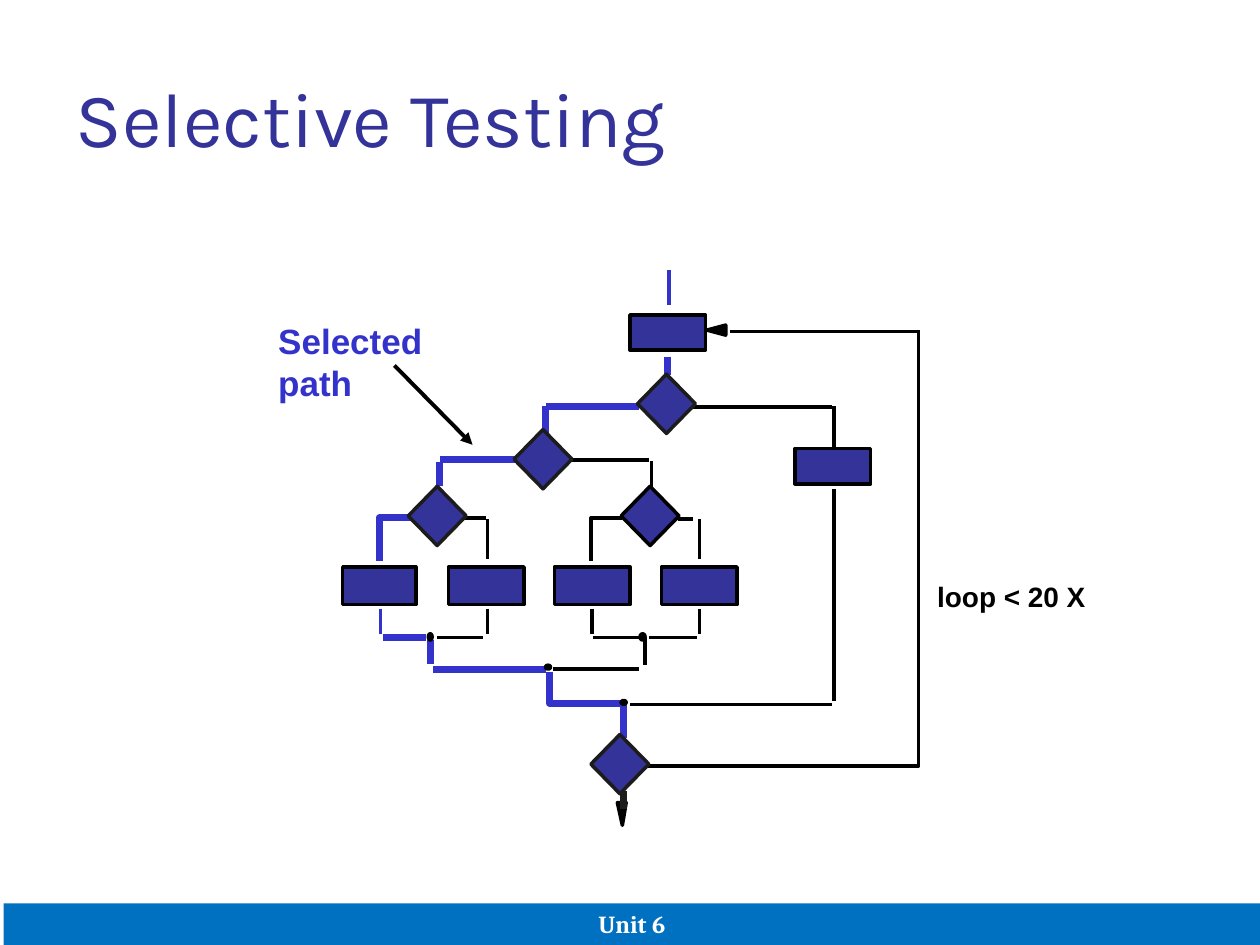
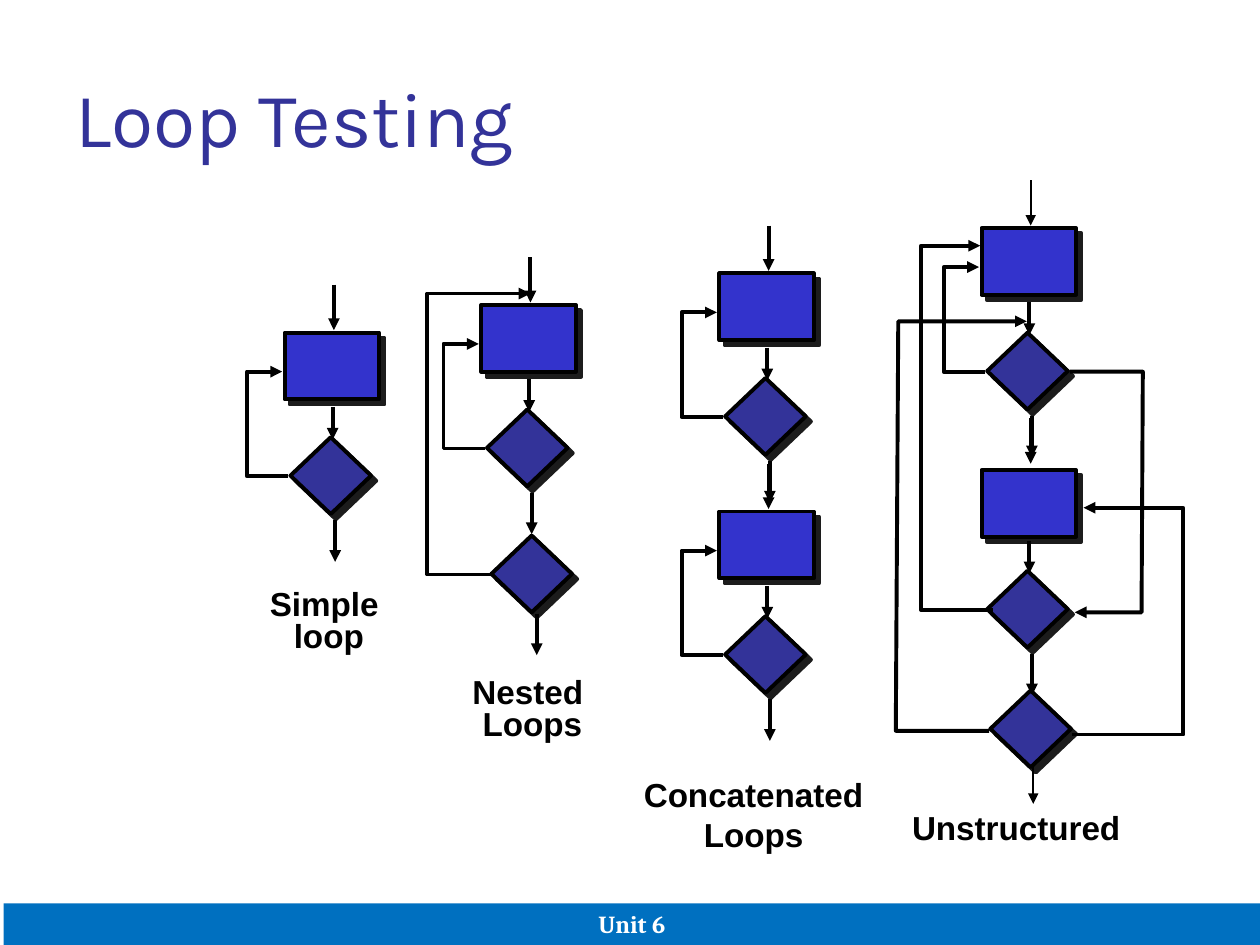
from lxml.etree import SubElement
from pptx import Presentation
from pptx.dml.color import RGBColor
from pptx.enum.shapes import MSO_CONNECTOR, MSO_SHAPE
from pptx.enum.text import MSO_ANCHOR, PP_ALIGN
from pptx.oxml.ns import qn
from pptx.util import Inches, Pt

# Colours, and a grid of 100 columns by 75 rows
INDIGO, BLUE, BLACK, CHARCOAL = "333399", "3333CC", "000000", "1C1C1C"
BAND, WHITE = "0070C0", "FFFFFF"
COLS, ROWS = 100, 75
THIN, MEDIUM, HEAVY = 2, 2.25, 4


def rgb(value):
    return RGBColor.from_string(value)


class Deck:
    def __init__(self):
        self.prs = Presentation()
        self.prs.slide_width, self.prs.slide_height = Inches(10), Inches(7.5)
        self.s = None

    def xy(self, col, row):
        return (round(self.prs.slide_width * col / COLS),
                round(self.prs.slide_height * row / ROWS))

    def area(self, x, y, w, h):
        return *self.xy(x, y), *self.xy(w, h)

    def run(self, p, text, size, font, color, bold=True):
        r = p.add_run()
        r.text = text
        r.font.size, r.font.name, r.font.bold = Pt(size), font, bold
        r.font.color.rgb = rgb(color)

    def outline(self, sp, color, width, arrow=False):
        sp.line.color.rgb, sp.line.width = rgb(color), Pt(width)
        if arrow:
            SubElement(sp._element.spPr.find(qn("a:ln")), qn("a:tailEnd"),
                       type="triangle")

    def new_slide(self, title):
        self.s = self.prs.slides.add_slide(self.prs.slide_layouts[5])
        sp = self.s.shapes.title
        sp.left, sp.top, sp.width, sp.height = self.area(5, 3, 90, 12.5)
        tf = sp.text_frame
        tf.vertical_anchor = MSO_ANCHOR.MIDDLE
        p = tf.paragraphs[0]
        p.alignment = PP_ALIGN.LEFT
        self.run(p, title, 44, "Karla", INDIGO, False)

    def band(self):
        sp = self.shape(MSO_SHAPE.RECTANGLE, 0.3, 71.7, 99.7, 3.3, BAND, None)
        tf = sp.text_frame
        tf.vertical_anchor = MSO_ANCHOR.BOTTOM
        p = tf.paragraphs[0]
        p.alignment = PP_ALIGN.CENTER
        self.run(p, "Unit 6", 14, "Cambria", WHITE)

    def shape(self, kind, x, y, w, h, fill, edge=BLACK, width=THIN, shadow=False):
        sp = self.s.shapes.add_shape(kind, *self.area(x, y, w, h))
        sp.shadow.inherit = False
        sp.fill.solid()
        sp.fill.fore_color.rgb = rgb(fill)
        if edge:
            self.outline(sp, edge, width)
        else:
            sp.line.fill.background()
        if shadow:
            effects = sp._element.spPr.find(qn("a:effectLst"))
            outer = SubElement(effects, qn("a:outerShdw"), dist=str(Pt(4.2)),
                               dir="2700000", algn="ctr", rotWithShape="0")
            SubElement(outer, qn("a:srgbClr"), val=CHARCOAL)
        return sp

    def box(self, *args, **style):
        return self.shape(MSO_SHAPE.RECTANGLE, *args, **style)

    def diamond(self, *args, **style):
        return self.shape(MSO_SHAPE.DIAMOND, *args, **style)

    def line(self, x1, y1, x2, y2, color=BLACK, width=THIN, arrow=False):
        sp = self.s.shapes.add_connector(
            MSO_CONNECTOR.STRAIGHT, *self.xy(x1, y1), *self.xy(x2, y2))
        self.outline(sp, color, width, arrow)
        SubElement(sp._element.spPr, qn("a:effectLst"))

    def arrow(self, *ends, width=MEDIUM):
        self.line(*ends, width=width, arrow=True)

    def route(self, *points, color=BLACK, width=THIN, arrow=False, fill=None):
        pts = [self.xy(*point) for point in points]
        builder = self.s.shapes.build_freeform(*pts[0], scale=1.0)
        builder.add_line_segments(pts[1:], close=bool(fill))
        sp = builder.convert_to_shape()
        sp.shadow.inherit = False
        if fill:
            sp.fill.solid()
            sp.fill.fore_color.rgb = rgb(fill)
        else:
            sp.fill.background()
        self.outline(sp, color, width, arrow)

    def label(self, lines, x, y, w, h, size=19, color=BLACK, align=PP_ALIGN.LEFT,
              spacing=None, wrap=False):
        tf = self.s.shapes.add_textbox(*self.area(x, y, w, h)).text_frame
        tf.word_wrap = wrap
        for i, text in enumerate(lines):
            p = tf.add_paragraph() if i else tf.paragraphs[0]
            p.alignment, p.line_spacing = align, spacing
            self.run(p, text, size, "Arial", color)

    # A process box with its test below, and optionally the way back
    def loop(self, x, y, drop=0, entry_width=MEDIUM, back=True):
        self.box(x, y + drop, 7.5, 5.3, BLUE, width=MEDIUM, shadow=True)
        self.test(x + 0.45, y + 8.3)
        self.arrow(x + 3.9, y - 3.8, x + 3.9, y - 0.2, width=entry_width)
        self.arrow(x + 3.8, y + 5.9, x + 3.8, y + 8.5)
        self.arrow(x + 4, y + 14.9, x + 4, y + 18.2)
        if back:
            self.back((x + 0.3, y + 11.4), (x - 3, y + 11.4),
                      (x - 3, y + 3.1), (x - 0.2, y + 3.1))

    def test(self, x, y):
        self.diamond(x, y, 6.4, 6.1, INDIGO, width=MEDIUM, shadow=True)

    def back(self, *points):
        self.route(*points, width=MEDIUM, arrow=True)


def selective_testing(d):
    d.new_slide("Selective Testing")

    # Selected path
    for ends in [(53, 28.3, 53, 29.8), (50.7, 32.3, 43.3, 32.3),
                 (43.3, 34.4, 43.3, 32.2), (41.4, 36.5, 34.9, 36.5),
                 (34.9, 36.7, 34.9, 38.6), (30.4, 50.6, 33.8, 50.6),
                 (34.2, 50.8, 34.2, 52.7), (34.4, 53.1, 43.3, 53.1),
                 (49.5, 58.6, 49.5, 55.8)]:
        d.line(*ends, color=BLUE, width=HEAVY)
    for points in [[(32.6, 41.1), (30.1, 41.1), (30.1, 44.5)],
                   [(43.6, 53.3), (43.6, 55.8), (49.4, 55.8)]]:
        d.route(*points, color=BLUE, width=HEAVY)
    d.line(53.1, 21.4, 53.1, 24.2, color=BLUE)
    d.line(30.2, 48.3, 30.2, 50.3, color=BLUE)

    # Other branches
    for ends in [(55, 32.3, 66, 32.3), (66.2, 35.5, 66.2, 32.2),
                 (45.3, 36.5, 51.5, 36.5), (51.7, 36.6, 51.7, 38.8),
                 (36.7, 41.1, 38.6, 41.1), (53.8, 41.2, 55, 41.2),
                 (38.7, 41.2, 38.7, 44.4), (55.5, 41.2, 55.5, 44.4),
                 (34.7, 50.6, 38.3, 50.6), (47.1, 50.6, 51.2, 50.6),
                 (51.5, 50.6, 55.3, 50.6), (51.2, 50.6, 51.2, 52.8),
                 (50.7, 53.1, 43.9, 53.1), (66.2, 38.8, 66.2, 55.6),
                 (50, 55.9, 66, 55.9)]:
        d.line(*ends)
    for x in (38.7, 47, 55.5):
        d.line(x, 48.3, x, 50.3)
    d.route((49.4, 41.1), (46.9, 41.1), (46.9, 44.5))

    # Way back to the start, and the exit
    d.route((51.4, 60.8), (72.9, 60.8), (72.9, 26.2))
    d.line(57.9, 26.3, 72.8, 26.3)
    d.route((56.1, 26.2), (57.6, 25.8), (57.6, 26.6), fill=BLACK)
    d.route((49.4, 65.5), (49, 63.7), (49.7, 63.7), fill=BLACK)
    d.line(49.5, 64.2, 49.5, 62.8, color=CHARCOAL, width=HEAVY)

    # Junctions, steps and decisions
    for x, y, w, h in [(50.8, 50.3, 0.4, 0.5), (34, 50.3, 0.3, 0.5),
                       (43.3, 52.8, 0.4, 0.3), (49.3, 55.6, 0.4, 0.3)]:
        d.shape(MSO_SHAPE.OVAL, x, y, w, h, BLACK)
    for x, y in [(50, 25), (63.1, 35.6)]:
        d.box(x, y, 6, 2.8, INDIGO)
    for x, w in [(27.2, 5.8), (35.6, 6), (44, 6), (52.5, 6)]:
        d.box(x, 45, w, 3, INDIGO)
    for x, y, edge in [(50.6, 29.7, CHARCOAL), (40.8, 34.1, CHARCOAL),
                       (32.4, 38.6, CHARCOAL), (49.3, 38.6, BLACK),
                       (46.9, 58.3, CHARCOAL)]:
        d.diamond(x, y, 4.6, 4.7, INDIGO, edge)

    # Labels
    d.label(["loop < 20 X"], 73.4, 45.5, 15, 3.6, size=16, wrap=True)
    d.label(["Selected path"], 21.1, 24.9, 15, 7.6, size=20, color=BLUE, wrap=True)
    d.arrow(31.3, 29, 37.5, 35.3)
    d.band()


def loop_testing(d):
    d.new_slide("Loop Testing")

    # Simple loop
    d.loop(22.6, 26.4)

    # Nested loops
    d.loop(38.2, 24.2)
    d.test(39, 42.5)
    d.arrow(42.6, 48.7, 42.6, 52)
    d.back((39, 45.6), (33.9, 45.6), (33.9, 23.3), (42.1, 23.3))

    # Concatenated loops
    for y in (21.7, 40.6):
        d.loop(57.1, y)

    # Unstructured
    d.loop(77.9, 18.1, entry_width=1)
    d.loop(77.9, 37, drop=0.3, back=False)
    d.back((78.8, 48.4), (73.1, 48.4), (73.1, 19.5), (77.8, 19.5))
    d.back((84.9, 29.5), (90.7, 29.5), (90.6, 48.6), (85.3, 48.6))
    d.test(78.6, 54.8)
    d.back((85.1, 58.3), (93.9, 58.3), (93.9, 40.3), (86, 40.3))
    d.back((78.5, 58), (71.1, 58), (71.3, 25.5), (81.5, 25.5))
    d.arrow(82, 60.6, 82, 63.8, width=1)

    # Captions
    centre = PP_ALIGN.CENTER
    d.label(["Simple ", "loop"], 20.4, 46.4, 11.4, 6, align=centre, spacing=0.8)
    d.label(["Nested ", "Loops"], 36.5, 53.4, 11.5, 6, align=centre, spacing=0.8)
    d.label(["Concatenated", "Loops"], 49.7, 61, 20.2, 7.3, align=centre)
    d.label(["Unstructured"], 71.4, 63.6, 23.7, 4.1, wrap=True)
    d.band()


def main():
    d = Deck()
    selective_testing(d)
    loop_testing(d)
    d.prs.save("out.pptx")


if __name__ == "__main__":
    main()
